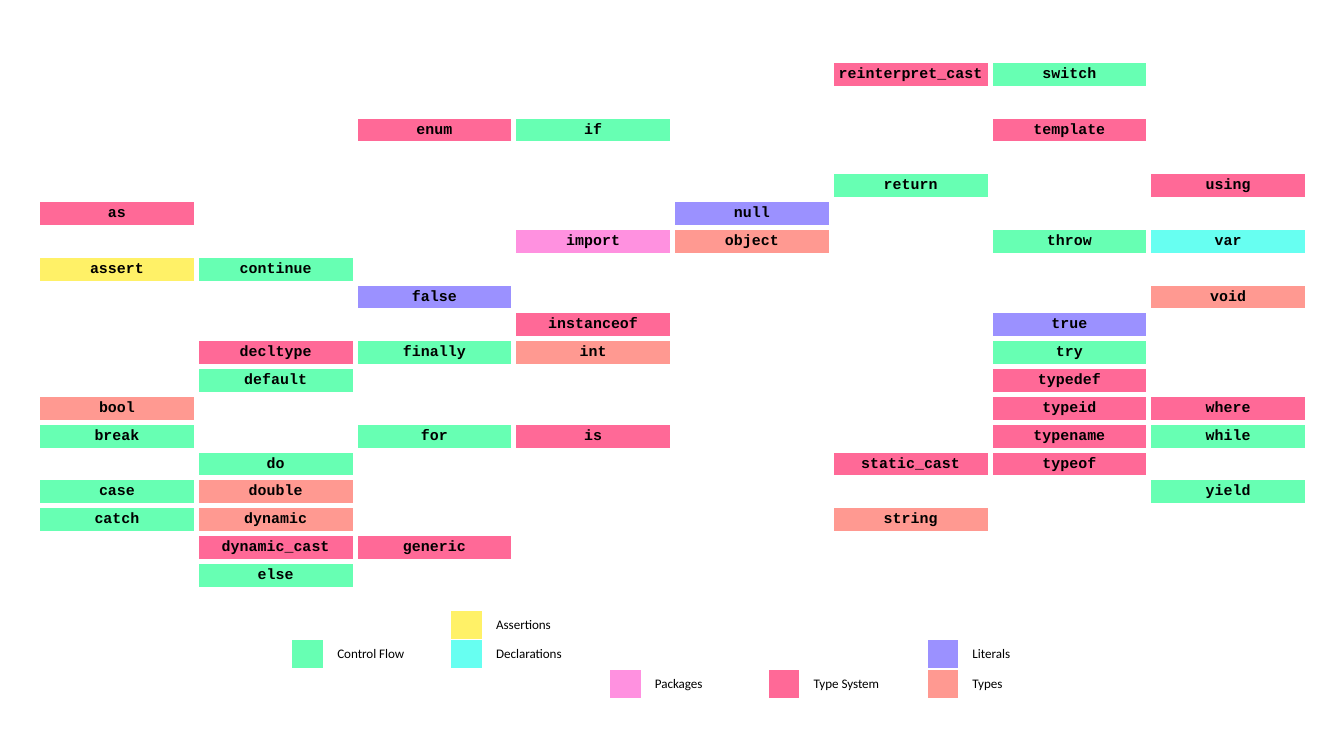
import pptx
import pptx.dml.color
import pptx.enum.text
import pptx.oxml.ns
import pptx.util
from lxml import etree

RGBColor = pptx.dml.color.RGBColor
Inches = pptx.util.Inches

BLACK = RGBColor(0x00, 0x00, 0x00)
WHITE = RGBColor(0xFF, 0xFF, 0xFF)
YELLOW = RGBColor(0xFF, 0xF1, 0x67)
GREEN = RGBColor(0x67, 0xFF, 0xB3)
CYAN = RGBColor(0x67, 0xFF, 0xF1)
VIOLET = RGBColor(0x9B, 0x91, 0xFF)
PINK = RGBColor(0xFF, 0x91, 0xE0)
ROSE = RGBColor(0xFF, 0x69, 0x97)
SALMON = RGBColor(0xFF, 0x99, 0x91)

COLOURS = {
    "Assertions": YELLOW,
    "Control Flow": GREEN,
    "Declarations": CYAN,
    "Literals": VIOLET,
    "Packages": PINK,
    "Type System": ROSE,
    "Types": SALMON,
}

KEYWORD_CELLS = {
    "Assertions": {"assert": (7, 0)},
    "Control Flow": {
        "break": (13, 0), "case": (15, 0), "catch": (16, 0),
        "continue": (7, 1), "default": (11, 1), "do": (14, 1), "else": (18, 1),
        "finally": (10, 2), "for": (13, 2), "if": (2, 3), "return": (4, 5),
        "switch": (0, 6), "throw": (6, 6), "try": (10, 6),
        "while": (13, 7), "yield": (15, 7),
    },
    "Declarations": {"var": (6, 7)},
    "Literals": {"false": (8, 2), "null": (5, 4), "true": (9, 6)},
    "Packages": {"import": (6, 3)},
    "Type System": {
        "as": (5, 0), "decltype": (10, 1), "dynamic_cast": (17, 1),
        "enum": (2, 2), "generic": (17, 2), "instanceof": (9, 3), "is": (13, 3),
        "reinterpret_cast": (0, 5), "static_cast": (14, 5),
        "template": (2, 6), "typedef": (11, 6), "typeid": (12, 6),
        "typename": (13, 6), "typeof": (14, 6), "using": (4, 7), "where": (12, 7),
    },
    "Types": {
        "bool": (12, 0), "double": (15, 1), "dynamic": (16, 1), "int": (10, 3),
        "object": (6, 4), "string": (16, 5), "void": (8, 7),
    },
}

LEGEND_CELLS = {
    "Assertions": (0, 1),
    "Control Flow": (1, 0),
    "Declarations": (1, 1),
    "Literals": (1, 4),
    "Packages": (2, 2),
    "Type System": (2, 3),
    "Types": (2, 4),
}


def add_borders(cell, width):
    properties = cell._tc.get_or_add_tcPr()
    qn = pptx.oxml.ns.qn
    for side in ("a:lnL", "a:lnR", "a:lnT", "a:lnB"):
        line = etree.SubElement(properties, qn(side), w=str(pptx.util.Pt(width)))
        fill = etree.SubElement(line, qn("a:solidFill"))
        etree.SubElement(fill, qn("a:srgbClr"), val=str(WHITE))


def format_font(cell, name, size, bold):
    font = cell.text_frame.paragraphs[0].font
    font.name = name
    font.size = pptx.util.Pt(size)
    font.bold = bold
    font.color.rgb = BLACK


def paint(cell, colour):
    cell.fill.solid()
    cell.fill.fore_color.rgb = colour


def add_grid(page, left, top, widths, rows, height, border, font):
    frame = page.shapes.add_table(
        rows, len(widths), Inches(left), Inches(top),
        Inches(sum(widths)), Inches(height))
    table = frame.table
    table.first_row = False
    table.horz_banding = False
    for column, width in zip(table.columns, widths):
        column.width = Inches(width)
    for row in table.rows:
        row.height = Inches(height / rows)
    for cell in table.iter_cells():
        add_borders(cell, border)
        cell.fill.background()
        format_font(cell, *font)
    return table


def add_keywords(page):
    table = add_grid(page, 0.28, 0.45, [9.45 / 8] * 8, 19, 3.94, 3,
                     ("Courier New", 8, True))
    for cell in table.iter_cells():
        cell.margin_left = cell.margin_right = 0
        cell.margin_top = cell.margin_bottom = 0
        cell.vertical_anchor = pptx.enum.text.MSO_ANCHOR.MIDDLE
        cell.text_frame.paragraphs[0].alignment = pptx.enum.text.PP_ALIGN.CENTER
    for category, words in KEYWORD_CELLS.items():
        for word, (row, column) in words.items():
            cell = table.cell(row, column)
            cell.text_frame.paragraphs[0].add_run().text = word
            paint(cell, COLOURS[category])


def add_legend(page):
    swatch = 0.24
    table = add_grid(page, 2.17, 4.54, [swatch, 5.91 / 5 - swatch] * 5, 3, 0.65, 1,
                     ("Calibri", 7, False))
    for category, (row, pair) in LEGEND_CELLS.items():
        paint(table.cell(row, 2 * pair), COLOURS[category])
        label = table.cell(row, 2 * pair + 1)
        label.text_frame.paragraphs[0].add_run().text = category


def main():
    deck = pptx.Presentation()
    deck.slide_width = Inches(10)
    deck.slide_height = deck.slide_width * 9 // 16
    page = deck.slides.add_slide(deck.slide_layouts[6])
    add_keywords(page)
    add_legend(page)
    deck.save("out.pptx")


if __name__ == "__main__":
    main()
